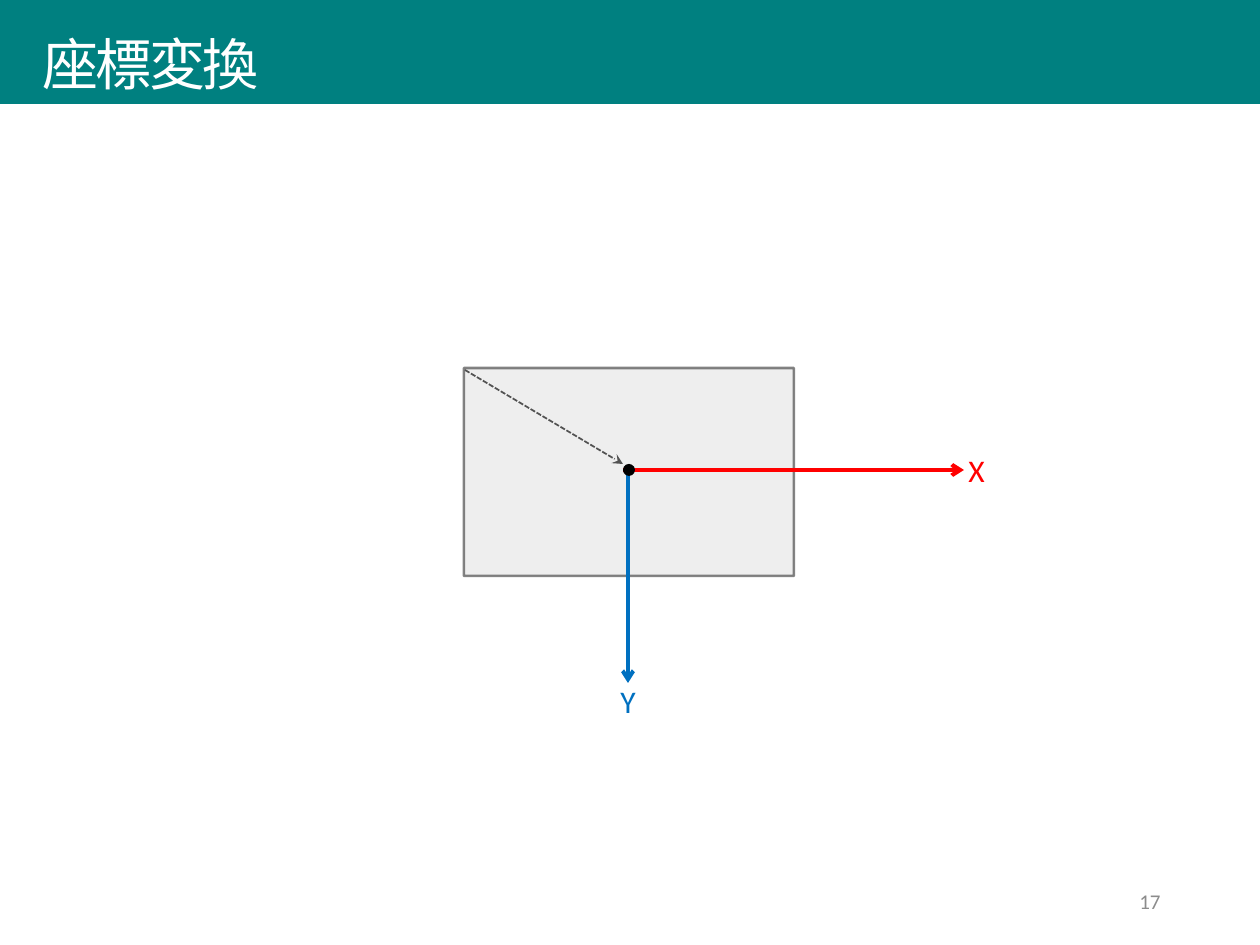
from lxml.etree import SubElement
from pptx import Presentation
from pptx.dml.color import RGBColor
from pptx.enum.dml import MSO_LINE
from pptx.enum.shapes import MSO_CONNECTOR, MSO_SHAPE
from pptx.enum.text import MSO_ANCHOR, PP_ALIGN
from pptx.oxml.ns import qn
from pptx.util import Emu, Pt

PIXEL = 914400 // 126
TEAL, RED, BLUE, BLACK = "008080", "FF0000", "0070C0", "000000"

TITLE = ("座標変換", (0, 0, 1260, 104))
PAGE_NUMBER = ("17", (890, 876, 283, 50))
FRAME = (464, 368, 330, 208)
ORIGIN = (623, 464, 12, 12)
# start, end, colour, width in points, arrowhead, dash
AXES = [
    ((623, 470), (964, 470), RED, 2.25, "arrow", None),
    ((628, 470), (628, 683), BLUE, 2.25, "arrow", None),
]
OFFSET = ((465, 370), (623, 464), "525252", 1, "stealth", MSO_LINE.SQUARE_DOT)
AXIS_LABELS = [("X", (956, 445, 42, 50), RED), ("Y", (608, 676, 40, 50), BLUE)]


def px(*lengths):
    """Turn pixel lengths into EMU."""
    return [Emu(length * PIXEL) for length in lengths]


def paint(color_format, color, opacity=100):
    """Set a solid colour on a fill, with optional opacity in percent."""
    color_format.solid()
    color_format.fore_color.rgb = RGBColor.from_string(color)
    if opacity < 100:
        srgb = color_format._xPr.find(".//" + qn("a:srgbClr"))
        SubElement(srgb, qn("a:alpha"), val=str(opacity * 1000))


def add_block(slide, kind, box, color, opacity=100):
    """Add a filled preset shape without outline or shadow."""
    block = slide.shapes.add_shape(kind, *px(*box))
    block.shadow.inherit = False
    paint(block.fill, color, opacity)
    block.line.fill.background()
    return block


def write(frame, text, size, color, font, align=PP_ALIGN.LEFT):
    """Put one formatted line of text in a frame and return its run."""
    frame.text = text
    paragraph = frame.paragraphs[0]
    paragraph.alignment = align
    run = paragraph.runs[0]
    run.font.size = Pt(size)
    run.font.name = font
    paint(run.font.fill, color)
    SubElement(run._r.get_or_add_rPr(), qn("a:ea"), typeface=font)
    return run


def add_arrow(slide, start, end, color, width, head, dash):
    """Draw a straight arrow from start to end."""
    arrow = slide.shapes.add_connector(MSO_CONNECTOR.STRAIGHT, *px(*start, *end))
    paint(arrow.line.fill, color)
    arrow.line.width = Pt(width)
    if dash:
        arrow.line.dash_style = dash
    SubElement(arrow.line._get_or_add_ln(), qn("a:tailEnd"), type=head)
    SubElement(arrow._element.spPr, qn("a:effectLst"))


def add_title(slide, text, box):
    """Add the title band with its indented heading."""
    band = add_block(slide, MSO_SHAPE.RECTANGLE, box, TEAL)
    band.text_frame.vertical_anchor = MSO_ANCHOR.BOTTOM
    run = write(band.text_frame, text, 32, "FFFFFF", "Noto Sans CJK JP")
    run._r.get_or_add_rPr().set("spc", "-150")
    paragraph = band.text_frame.paragraphs[0]
    paragraph.line_spacing = 0.9
    paragraph._p.get_or_add_pPr().set("marL", str(30 * PIXEL))


def add_label(slide, text, box, color, size=18, align=PP_ALIGN.LEFT, wrap=False):
    """Add a text box holding a short label."""
    label = slide.shapes.add_textbox(*px(*box))
    label.text_frame.word_wrap = wrap
    write(label.text_frame, text, size, color, "Calibri", align)
    return label


def build():
    """Build and save the slide."""
    deck = Presentation()
    deck.slide_width, deck.slide_height = px(1260, 945)
    slide = deck.slides.add_slide(deck.slide_layouts[6])

    frame = add_block(slide, MSO_SHAPE.RECTANGLE, FRAME, "E7E7E7", 70)
    paint(frame.line.fill, "333333", 60)
    frame.line.width = Pt(1.5)

    number = add_label(slide, *PAGE_NUMBER, "8C8C8C", 12, PP_ALIGN.RIGHT, True)
    number.text_frame.vertical_anchor = MSO_ANCHOR.MIDDLE
    add_title(slide, *TITLE)

    for axis in AXES:
        add_arrow(slide, *axis)
    add_block(slide, MSO_SHAPE.OVAL, ORIGIN, BLACK)
    for axis_label in AXIS_LABELS:
        add_label(slide, *axis_label)
    add_arrow(slide, *OFFSET)

    deck.save("out.pptx")


build()
